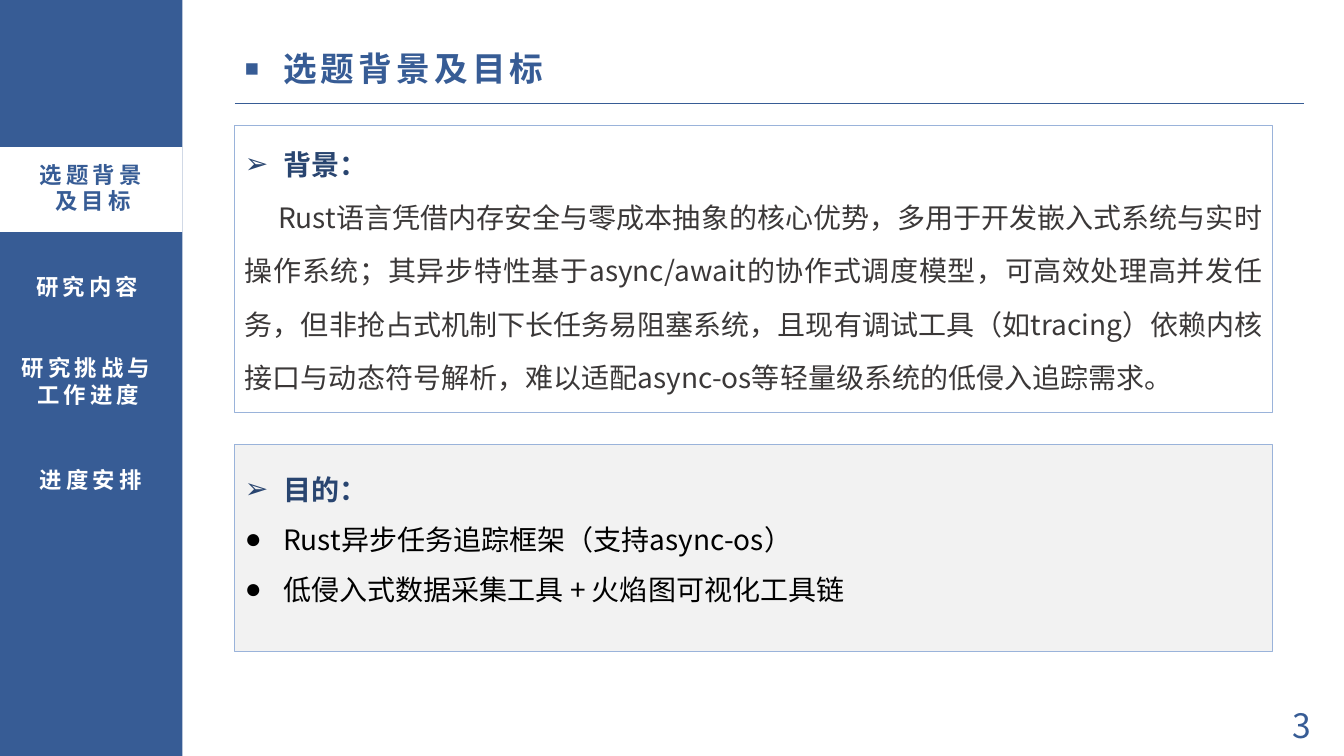
from dataclasses import dataclass

from pptx import Presentation
from pptx import util as u
from pptx.dml.color import RGBColor
from pptx.enum import shapes, text
from pptx.oxml.ns import qn


@dataclass(frozen=True)
class Theme:
    blue: str = "375C95"
    navy: str = "294570"
    white: str = "FFFFFF"
    gray: str = "F2F2F2"
    border: str = "9AB3DA"
    ink: str = "3B3838"
    black: str = "000000"
    latin: str = "Arial"
    body_font: str = "Noto Sans CJK SC"
    title_size: int = 24
    body_size: int = 20
    nav_size: int = 16
    leading: float = 1.19  # natural line height relative to type size
    indent: float = 0.38


def color(value):
    return RGBColor.from_string(value)


def write(para, words, theme, size, ink, font, bold=False, spacing=0,
          lines=1.0, align=text.PP_ALIGN.LEFT, bullet=None, bullet_scale=100,
          first_indent=0):
    """Fill one paragraph with formatted text."""
    para.alignment = align
    para.line_spacing = u.Pt(round(size * theme.leading * lines, 1))
    props = para._p.get_or_add_pPr()
    if bullet:
        props.set("marL", str(u.Inches(theme.indent)))
        props.set("indent", str(-u.Inches(theme.indent)))
        scale = props.makeelement(qn("a:buSzPct"), {"val": str(bullet_scale * 1000)})
        face = props.makeelement(qn("a:buFont"), {"typeface": theme.latin})
        mark = props.makeelement(qn("a:buChar"), {"char": bullet})
        props.extend([scale, face, mark])
    elif first_indent:
        props.set("indent", str(u.Inches(first_indent)))

    span = para.add_run()
    span.text = words
    span.font.size = u.Pt(size)
    span.font.bold = bold
    span.font.color.rgb = color(ink)
    span.font.name = font
    run_props = span._r.get_or_add_rPr()
    if spacing:
        run_props.set("spc", str(spacing * 100))
    east = run_props.makeelement(qn("a:ea"), {"typeface": theme.body_font})
    run_props.find(qn("a:latin")).addnext(east)


class SlideBuilder:
    def __init__(self, page, theme):
        self.page = page
        self.theme = theme

    def panel(self, left, top, width, height, fill, border=None):
        box = self.page.shapes.add_shape(
            shapes.MSO_SHAPE.RECTANGLE, *map(u.Inches, (left, top, width, height)))
        box.shadow.inherit = False
        box.fill.solid()
        box.fill.fore_color.rgb = color(fill)
        if border:
            box.line.color.rgb = color(border)
            box.line.width = u.Pt(0.75)
        else:
            box.line.fill.background()
        return box

    def text_panel(self, left, top, width, height, fill, paragraphs):
        theme = self.theme
        box = self.panel(left, top, width, height, fill, theme.border)
        frame = box.text_frame
        frame.word_wrap = True
        frame.vertical_anchor = text.MSO_ANCHOR.TOP
        for index, (words, style) in enumerate(paragraphs):
            para = frame.add_paragraph() if index else frame.paragraphs[0]
            write(para, words, theme, theme.body_size, font=theme.body_font,
                  align=text.PP_ALIGN.JUSTIFY, **style)

    def label(self, left, top, width, height, words, grow=True,
              anchor=text.MSO_ANCHOR.TOP, **style):
        box = self.page.shapes.add_textbox(
            *map(u.Inches, (left, top, width, height)))
        frame = box.text_frame
        frame.word_wrap = True
        frame.vertical_anchor = anchor
        if grow:
            frame.auto_size = text.MSO_AUTO_SIZE.SHAPE_TO_FIT_TEXT
        write(frame.paragraphs[0], words, self.theme, **style)

    def nav_label(self, left, top, width, height, words, ink, lines=1.0):
        self.label(left, top, width, height, words, ink=ink, lines=lines,
                   size=self.theme.nav_size, font=self.theme.latin, bold=True,
                   spacing=3, align=text.PP_ALIGN.CENTER)

    def rule(self, left, right, top):
        line = self.page.shapes.add_connector(
            shapes.MSO_CONNECTOR.STRAIGHT,
            *map(u.Inches, (left, top, right, top)))
        line.line.color.rgb = color(self.theme.blue)
        line.line.width = u.Pt(0.5)
        props = line._element.spPr
        props.append(props.makeelement(qn("a:effectLst"), {}))


BACKGROUND = (
    "Rust语言凭借内存安全与零成本抽象的核心优势，多用于开发嵌入式系统与实时操作系统；"
    "其异步特性基于async/await的协作式调度模型，可高效处理高并发任务，"
    "但非抢占式机制下长任务易阻塞系统，且现有调试工具（如tracing）"
    "依赖内核接口与动态符号解析，难以适配async-os等轻量级系统的低侵入追踪需求。"
)


def main():
    deck = Presentation()
    deck.slide_width, deck.slide_height = u.Inches(13.33), u.Inches(7.5)
    theme = Theme()
    builder = SlideBuilder(deck.slides.add_slide(deck.slide_layouts[6]), theme)

    # Sidebar with the current section highlighted
    sidebar_width = 1.81
    builder.panel(0, 0, sidebar_width, 7.5, theme.blue)
    builder.panel(0, 1.46, sidebar_width, 0.84, theme.white)
    builder.nav_label(0.22, 1.55, 1.4, 0.64, "选题背景及目标", theme.blue)
    builder.nav_label(0.06, 2.66, 1.61, 0.37, "研究内容", theme.white)
    builder.nav_label(0.01, 3.47, 1.73, 0.64, "研究挑战与工作进度", theme.white)
    builder.nav_label(0.13, 4.55, 1.54, 0.4, "进度安排", theme.white, lines=1.1)

    # Title and rule
    content_left, content_width = 2.33, 10.29
    builder.label(content_left, 0.43, 9.91, 0.5, "选题背景及目标",
                  size=theme.title_size, ink=theme.blue, font=theme.latin,
                  bold=True, spacing=3, bullet="■", bullet_scale=70)
    builder.rule(content_left, 12.93, 1.03)

    # Background and goals
    heading = dict(ink=theme.navy, bold=True, bullet="➢")
    goal = dict(ink=theme.black, lines=1.5, bullet="●")
    builder.text_panel(content_left, 1.25, content_width, 2.84, theme.white, [
        ("背景：", dict(heading, lines=1.5)),
        (BACKGROUND, dict(ink=theme.ink, lines=1.6, first_indent=0.33)),
    ])
    builder.text_panel(content_left, 4.41, content_width, 2.05, theme.gray, [
        ("目的：", dict(heading, lines=1.7)),
        ("Rust异步任务追踪框架（支持async-os）", goal),
        ("低侵入式数据采集工具 + 火焰图可视化工具链", goal),
    ])

    # Page number
    builder.label(12.53, 6.99, 0.76, 0.4, "3", grow=False,
                  anchor=text.MSO_ANCHOR.MIDDLE, size=theme.title_size,
                  ink=theme.blue, font=theme.body_font,
                  align=text.PP_ALIGN.CENTER)

    deck.save("out.pptx")


if __name__ == "__main__":
    main()
